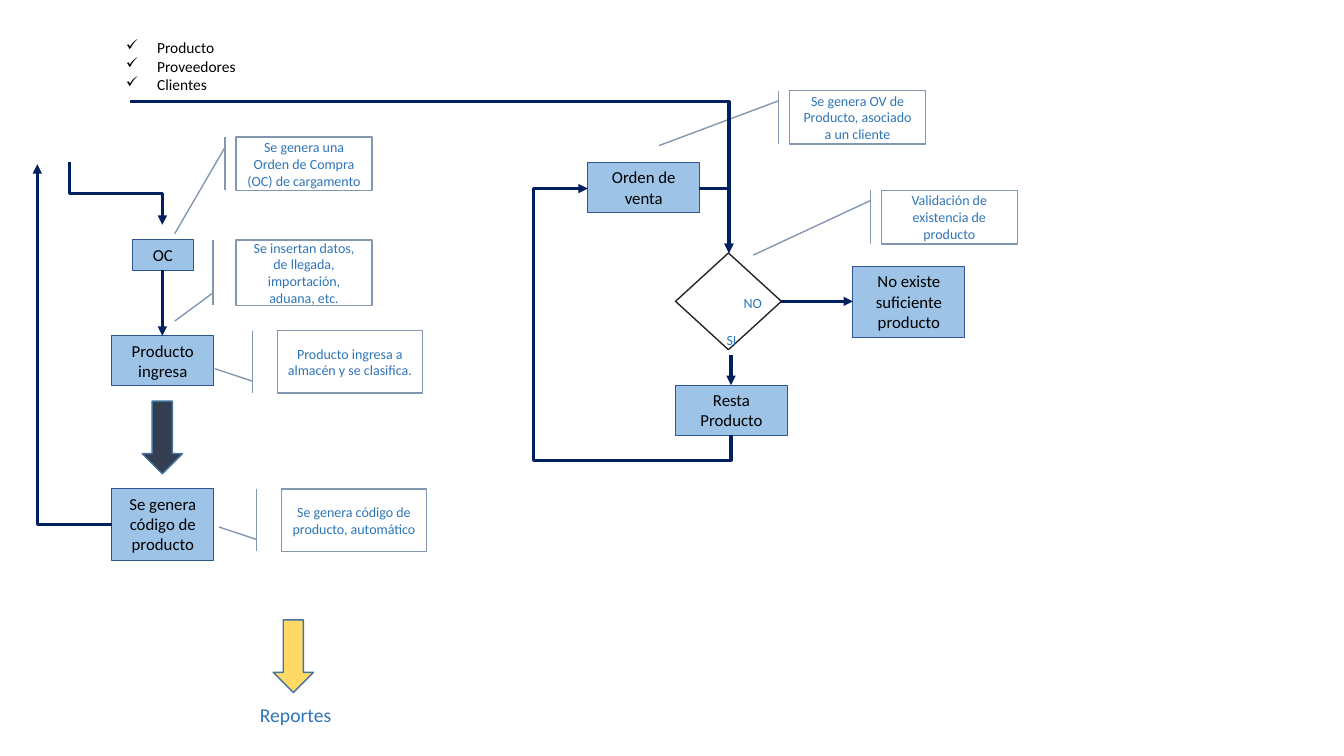
import dataclasses
import typing

import lxml.etree
import pptx
import pptx.dml.color
import pptx.enum.shapes
import pptx.enum.text
import pptx.oxml.ns
import pptx.util

Inches = pptx.util.Inches
Shape = pptx.enum.shapes.MSO_SHAPE
Connector = pptx.enum.shapes.MSO_CONNECTOR
Align = pptx.enum.text.PP_ALIGN
Anchor = pptx.enum.text.MSO_ANCHOR
AutoSize = pptx.enum.text.MSO_AUTO_SIZE
qn = pptx.oxml.ns.qn

FONT = "Calibri"
BLACK = "000000"
BLUE_TEXT = "2E75B6"
NAVY = "002060"
CALLOUT_INDENT = 0.31
Box = tuple[float, float, float, float]
Point = tuple[float, float]


@dataclasses.dataclass
class Step:
    text: str
    box: Box


@dataclasses.dataclass
class Callout:
    text: str
    box: Box
    pointer: Box


@dataclasses.dataclass
class BlockArrow:
    left: float
    top: float
    fill: str


@dataclasses.dataclass
class Label:
    lines: list[str]
    box: Box
    size: float
    color: str = BLUE_TEXT
    align: typing.Any = Align.CENTER
    bullet: str = ""


@dataclasses.dataclass
class Flow:
    begin: Point
    end: Point
    segments: int = 1
    rotation: int = 0
    flipped: bool = False
    adjustments: tuple[float, ...] = ()


STEPS = [
    Step("OC", (1.31, 2.38, 0.61, 0.3)),
    Step("Producto ingresa", (1.11, 3.33, 1.01, 0.5)),
    Step("Se genera código de producto", (1.11, 4.85, 1.01, 0.71)),
    Step("Orden de venta", (5.83, 1.61, 1.11, 0.5)),
    Step("Resta Producto", (6.7, 3.82, 1.11, 0.5)),
    Step("No existe suficiente producto", (8.46, 2.64, 1.11, 0.71)),
]

CALLOUTS = [
    Callout("Se genera una Orden de Compra (OC) de cargamento",
            (2.34, 1.36, 1.35, 0.53), (0.19, -0.08, 1.81, -0.45)),
    Callout("Se insertan datos, de llegada, importación, aduana, etc.",
            (2.34, 2.38, 1.35, 0.65), (0.81, -0.17, 1.24, -0.45)),
    Callout("Producto ingresa a almacén y se clasifica.",
            (2.75, 3.28, 1.44, 0.62), (0.81, -0.17, 0.61, -0.43)),
    Callout("Se genera código de producto, automático",
            (2.79, 4.85, 1.44, 0.62), (0.81, -0.17, 0.61, -0.43)),
    Callout("Se genera OV de Producto, asociado a un cliente",
            (7.83, 0.9, 1.35, 0.53), (0.19, -0.08, 1.03, -0.96)),
    Callout("Validación de existencia de producto",
            (8.74, 1.89, 1.35, 0.53), (0.19, -0.08, 1.21, -0.94)),
]

BLOCK_ARROWS = [BlockArrow(1.41, 3.98, "333F50"), BlockArrow(2.71, 6.15, "FFD966")]

LABELS = [
    Label(["Producto", "Proveedores", "Clientes"], (1.15, 0.33, 2.08, 0.66),
          11, BLACK, Align.LEFT, "✓"),
    Label(["SI"], (7.06, 3.24, 0.39, 0.28), 10),
    Label(["NO"], (7.2, 2.87, 0.53, 0.27), 10),
    Label(["Reportes"], (2.48, 6.92, 1.06, 0.34), 14, align=Align.JUSTIFY),
]

FLOWS = [
    Flow((0.69, 1.61), (1.61, 2.23), 3, 270, True),
    Flow((1.61, 2.68), (1.61, 3.33)),
    Flow((1.11, 5.2), (0.37, 1.63), 2, 180),
    Flow((1.29, 1.01), (7.23, 2.51), 2),
    Flow((6.93, 1.87), (7.23, 2.51), 2),
    Flow((7.75, 2.99), (8.46, 2.99)),
    Flow((7.25, 3.52), (7.25, 3.82)),
    Flow((7.25, 4.32), (5.83, 1.87), 4, 90, True, (-0.1, 1.38)),
]


def rgb(color: str) -> pptx.dml.color.RGBColor:
    return pptx.dml.color.RGBColor.from_string(color)


def format_paragraph(paragraph: typing.Any, size: float, color: str, align: typing.Any) -> None:
    paragraph.alignment = align
    paragraph.font.name = FONT
    paragraph.font.size = pptx.util.Pt(size)
    paragraph.font.color.rgb = rgb(color)


def add_bullet(paragraph: typing.Any, bullet: str) -> None:
    properties = paragraph._p.get_or_add_pPr()
    indent = Inches(CALLOUT_INDENT)
    properties.set("marL", str(indent))
    properties.set("indent", str(-indent))
    character = lxml.etree.Element(qn("a:buChar"), char=bullet)
    properties.insert(0, character)


def add_shape(slide: typing.Any, kind: typing.Any, box: Box, line: str,
              width: float = 1, fill: str = "") -> typing.Any:
    shape = slide.shapes.add_shape(kind, *map(Inches, box))
    shape.shadow.inherit = False
    if fill:
        shape.fill.solid()
        shape.fill.fore_color.rgb = rgb(fill)
    else:
        shape.fill.background()
    shape.line.color.rgb = rgb(line)
    shape.line.width = pptx.util.Pt(width)
    return shape


def add_step(slide: typing.Any, step: Step) -> None:
    shape = add_shape(slide, Shape.RECTANGLE, step.box, "2F5597", 0.75, "9DC3E6")
    frame = shape.text_frame
    frame.text = step.text
    frame.vertical_anchor = Anchor.TOP
    frame.auto_size = AutoSize.SHAPE_TO_FIT_TEXT
    format_paragraph(frame.paragraphs[0], 12, BLACK, Align.CENTER)


def add_callout(slide: typing.Any, callout: Callout) -> None:
    shape = add_shape(slide, Shape.LINE_CALLOUT_1_BORDER_AND_ACCENT_BAR, callout.box, "8497B0")
    for index, value in enumerate(callout.pointer):
        shape.adjustments[index] = value
    frame = shape.text_frame
    frame.text = callout.text
    frame.vertical_anchor = Anchor.MIDDLE
    format_paragraph(frame.paragraphs[0], 10, BLUE_TEXT, Align.CENTER)


def add_label(slide: typing.Any, label: Label) -> None:
    frame = slide.shapes.add_textbox(*map(Inches, label.box)).text_frame
    frame.word_wrap = True
    frame.auto_size = AutoSize.SHAPE_TO_FIT_TEXT
    frame.text = "\n".join(label.lines)
    for paragraph in frame.paragraphs:
        format_paragraph(paragraph, label.size, label.color, label.align)
        if label.bullet:
            add_bullet(paragraph, label.bullet)


def add_flow(slide: typing.Any, flow: Flow) -> None:
    (x1, y1), (x2, y2) = flow.begin, flow.end
    width, height = abs(x2 - x1), abs(y2 - y1)
    if flow.rotation in (90, 270):
        width, height = height, width
    left, top = (x1 + x2 - width) / 2, (y1 + y2 - height) / 2
    kind = Connector.STRAIGHT if flow.segments == 1 else Connector.ELBOW
    corners = (left, top, left + width, top + height)
    connector = slide.shapes.add_connector(kind, *map(Inches, corners))
    connector.line.color.rgb = rgb(NAVY)
    connector.line.width = pptx.util.Pt(2.25)
    properties = connector.element.spPr
    if flow.segments > 1:
        transform = properties.find(qn("a:xfrm"))
        transform.set("rot", str(flow.rotation * 60000))
        transform.set("flipH", str(int(flow.flipped)))
        geometry = properties.find(qn("a:prstGeom"))
        geometry.set("prst", f"bentConnector{flow.segments}")
        guides = geometry.find(qn("a:avLst"))
        for index, value in enumerate(flow.adjustments, 1):
            lxml.etree.SubElement(guides, qn("a:gd"), name=f"adj{index}",
                                  fmla=f"val {round(value * 100000)}")
    lxml.etree.SubElement(properties.find(qn("a:ln")), qn("a:tailEnd"), type="triangle")
    lxml.etree.SubElement(properties, qn("a:effectLst"))


def main() -> None:
    presentation = pptx.Presentation()
    presentation.slide_width = Inches(13.33)
    presentation.slide_height = Inches(7.5)
    slide = presentation.slides.add_slide(presentation.slide_layouts[6])
    for step in STEPS:
        add_step(slide, step)
    for callout in CALLOUTS:
        add_callout(slide, callout)
    for arrow in BLOCK_ARROWS:
        add_shape(slide, Shape.DOWN_ARROW, (arrow.left, arrow.top, 0.4, 0.72), "43739E", 1, arrow.fill)
    add_shape(slide, Shape.DIAMOND, (6.7, 2.51, 1.05, 0.96), "262626")
    for label in LABELS:
        add_label(slide, label)
    for flow in FLOWS:
        add_flow(slide, flow)
    presentation.save("out.pptx")


if __name__ == "__main__":
    main()
